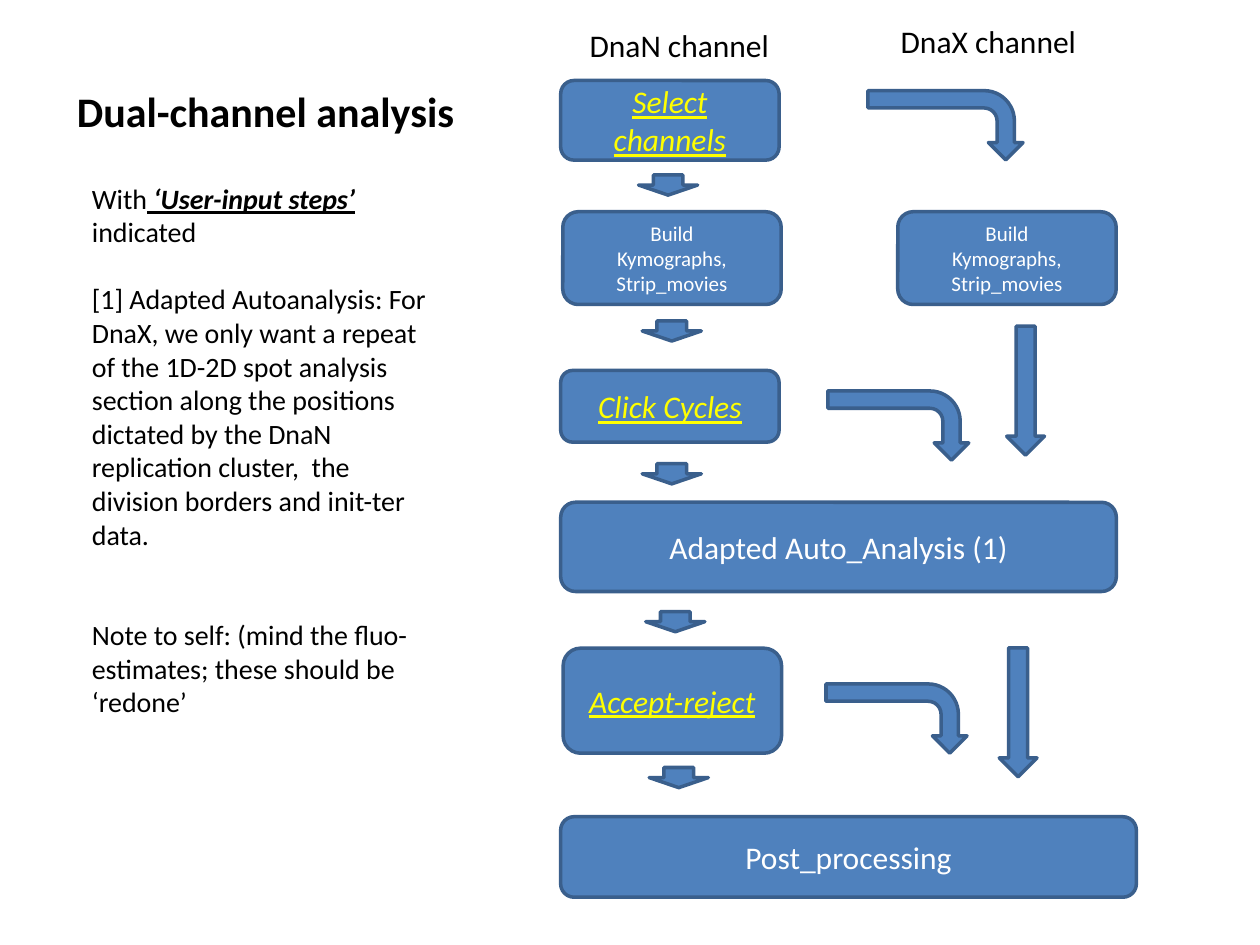
from dataclasses import dataclass

from pptx import Presentation
from pptx import util as u
from pptx.dml.color import RGBColor
from pptx.enum import shapes, text


@dataclass(frozen=True)
class Theme:
    font: str = "Calibri"
    fill: RGBColor = RGBColor(0x4F, 0x81, 0xBD)
    outline: RGBColor = RGBColor(0x3A, 0x5F, 0x8C)
    ink: RGBColor = RGBColor(0, 0, 0)
    step_text: RGBColor = RGBColor(0xFF, 0xFF, 0xFF)
    user_text: RGBColor = RGBColor(0xFF, 0xFF, 0)
    title_size: int = 24
    label_size: int = 18
    note_size: int = 16
    small_size: int = 12
    line_width: int = 2


class FlowSlide:
    def __init__(self, slide, theme):
        self.slide = slide
        self.theme = theme

    def style_run(self, run, size, color, bold=False, italic=False, underline=False):
        font = run.font
        font.name, font.size, font.color.rgb = self.theme.font, u.Pt(size), color
        font.bold, font.italic, font.underline = bold, italic, underline

    def style_frame(self, frame, size, color, alignment, **emphasis):
        for paragraph in frame.paragraphs:
            paragraph.alignment = alignment
            for run in paragraph.runs:
                self.style_run(run, size, color, **emphasis)

    def title(self, wording, *box):
        shape = self.slide.shapes.title
        shape.left, shape.top, shape.width, shape.height = map(u.Pt, box)
        shape.text_frame.text = wording
        shape.text_frame.vertical_anchor = text.MSO_ANCHOR.MIDDLE
        self.style_frame(shape.text_frame, self.theme.title_size, self.theme.ink,
                         text.PP_ALIGN.LEFT, bold=True)

    def text_box(self, wording, size, *box, wrap=True):
        frame = self.slide.shapes.add_textbox(*map(u.Pt, box)).text_frame
        frame.word_wrap = wrap
        frame.text = wording
        self.style_frame(frame, size, self.theme.ink, text.PP_ALIGN.LEFT)
        return frame

    def block(self, kind, *box):
        shape = self.slide.shapes.add_shape(kind, *map(u.Pt, box))
        shape.shadow.inherit = False
        shape.fill.solid()
        shape.fill.fore_color.rgb = self.theme.fill
        shape.line.color.rgb = self.theme.outline
        shape.line.width = u.Pt(self.theme.line_width)
        return shape

    def step(self, wording, *box, size=None, user_input=False):
        shape = self.block(shapes.MSO_SHAPE.ROUNDED_RECTANGLE, *box)
        frame = shape.text_frame
        frame.word_wrap = True
        frame.vertical_anchor = text.MSO_ANCHOR.MIDDLE
        frame.text = wording
        color = self.theme.user_text if user_input else self.theme.step_text
        self.style_frame(frame, size or self.theme.label_size, color,
                         text.PP_ALIGN.CENTER, italic=user_input, underline=user_input)

    def down_arrow(self, *box):
        self.block(shapes.MSO_SHAPE.DOWN_ARROW, *box)

    def turn_arrow(self, left, top, length, height):
        """Arrow running right, then down; the box is the one seen after rotation."""
        shift = (length - height) / 2
        shape = self.block(shapes.MSO_SHAPE.BENT_ARROW, left + shift, top - shift,
                           height, length)
        shape.rotation = 90


def main():
    theme = Theme()
    presentation = Presentation()
    presentation.slide_width, presentation.slide_height = u.Pt(720), u.Pt(540)
    slide = presentation.slides.add_slide(presentation.slide_layouts[0])
    subtitle = slide.placeholders[1].element
    subtitle.getparent().remove(subtitle)
    flow = FlowSlide(slide, theme)

    # Title and channel headings
    flow.title("Dual-channel analysis", 36.7, 5, 319, 116)
    flow.text_box("DnaN channel", theme.label_size, 329.8, 11.5, 118, 29, wrap=False)
    flow.text_box("DnaX channel", theme.label_size, 507.6, 9, 116, 29, wrap=False)

    # User-input steps
    step_left, step_width = 320.4, 124.8
    for wording, left, top, height in (
        ("Select channels", step_left, 46, 45.5),
        ("Click Cycles", step_left, 211.7, 41),
        ("Accept-reject", step_left + 1.4, 370.4, 60),
    ):
        flow.step(wording, left, top, step_width, height, user_input=True)

    # Automatic steps: one per channel, then shared
    for left in (step_left + 1.2, 513):
        flow.step("Build\nKymographs,\nStrip_movies", left, 121, step_width, 53,
                  size=theme.small_size)
    flow.step("Adapted Auto_Analysis (1)", step_left, 287, 317.5, 51)
    flow.step("Post_processing", step_left, 466.7, 329, 46)

    # Short arrows down the DnaN channel
    for left, top in ((364.9, 100), (367, 183.4), (367, 265), (369, 349.5), (371, 438.6)):
        flow.down_arrow(left, top, 33.8, 11.5)

    # Long arrows down the DnaX channel
    for left, top in ((575.3, 186.4), (571, 370.2)):
        flow.down_arrow(left, top, 21.6, 73.7)

    # Turning arrows from DnaN to DnaX
    for left, top, length in ((496, 51.8, 88.6), (473, 223.4, 80.6), (472, 390.8, 80.6)):
        flow.turn_arrow(left, top, length, 39.6)

    # Notes
    notes = flow.text_box(
        "With\n"
        "[1] Adapted Autoanalysis: For DnaX, we only want a repeat of the 1D-2D spot "
        "analysis section along the positions dictated by the DnaN replication cluster,  "
        "the division borders and init-ter data.\n"
        "Note to self: (mind the fluo-estimates; these should be ‘redone’",
        theme.note_size, 45.4, 100, 212.4, 317.5)
    intro, autoanalysis, reminder = notes.paragraphs
    for wording, marked in ((" ‘User-input steps’ ", True), ("indicated", False)):
        run = intro.add_run()
        run.text = wording
        flow.style_run(run, theme.note_size, theme.ink, marked, marked, marked)
    line_height = 19.2
    autoanalysis.space_before = u.Pt(line_height)
    reminder.space_before = u.Pt(2 * line_height)

    presentation.save("out.pptx")


if __name__ == "__main__":
    main()
